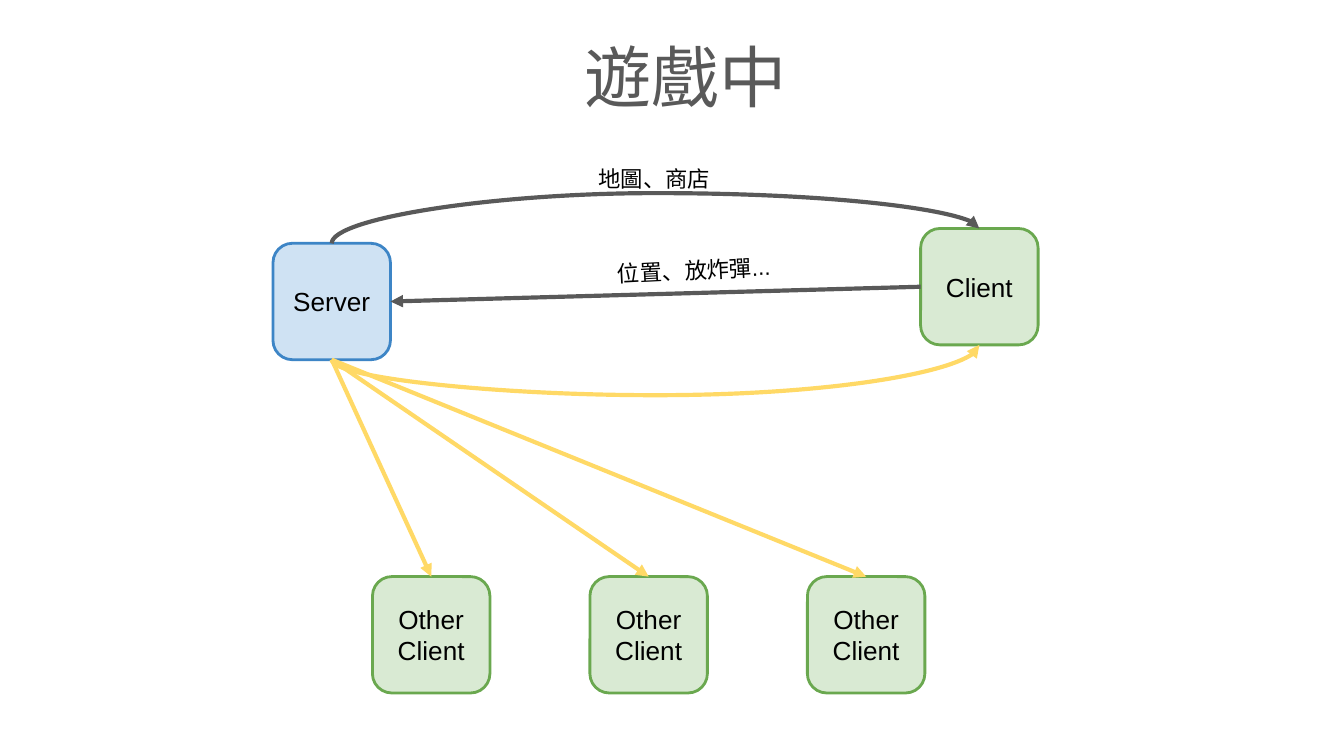
from lxml.etree import SubElement
from pptx import Presentation
from pptx.dml.color import RGBColor
from pptx.enum.shapes import MSO_CONNECTOR, MSO_SHAPE
from pptx.enum.text import MSO_ANCHOR, PP_ALIGN
from pptx.oxml.ns import qn
from pptx.util import Cm, Pt

GREY, YELLOW, BLACK = "595959", "FFD966", "000000"
BLUE_BOX = ("CFE2F3", "3D85C6")
GREEN_BOX = ("D9EAD3", "6AA84F")
TOP, LEFT, BOTTOM, RIGHT = range(4)


def color(value):
    return RGBColor.from_string(value)


class Diagram:
    """Draws boxes, labels and arrows on one slide in a shared style."""

    font = "Arial"
    inset = Cm(0.25)
    box_width, box_height = Cm(2.22), Cm(2.2)

    def __init__(self, slide):
        self.slide = slide

    def set_text(self, shape, lines, size, ink, anchor):
        frame = shape.text_frame
        frame.word_wrap = True
        frame.vertical_anchor = anchor
        frame.margin_left = frame.margin_right = self.inset
        frame.margin_top = frame.margin_bottom = self.inset
        frame.text = lines
        for paragraph in frame.paragraphs:
            paragraph.alignment = PP_ALIGN.CENTER
            paragraph.font.name = self.font
            paragraph.font.size = Pt(size)
            paragraph.font.color.rgb = color(ink)

    def label(self, text, left, top, width, height, size=12, ink=BLACK,
              anchor=MSO_ANCHOR.TOP, rotation=0):
        box = self.slide.shapes.add_textbox(Cm(left), Cm(top), Cm(width), Cm(height))
        box.rotation = rotation
        self.set_text(box, text, size, ink, anchor)

    def box(self, text, left, top, colors):
        box = self.slide.shapes.add_shape(
            MSO_SHAPE.ROUNDED_RECTANGLE, Cm(left), Cm(top), self.box_width, self.box_height)
        fill, line = colors
        box.shadow.inherit = False
        box.fill.solid()
        box.fill.fore_color.rgb = color(fill)
        box.line.color.rgb = color(line)
        box.line.width = Pt(1.5)
        self.set_text(box, text, 14, BLACK, MSO_ANCHOR.MIDDLE)
        return box

    def arrow(self, start, start_side, end, end_side, ink, kind=MSO_CONNECTOR.STRAIGHT):
        arrow = self.slide.shapes.add_connector(kind, 0, 0, 0, 0)
        arrow.begin_connect(start, start_side)
        arrow.end_connect(end, end_side)
        arrow.line.color.rgb = color(ink)
        arrow.line.width = Pt(2.25)
        SubElement(arrow.line._get_or_add_ln(), qn("a:tailEnd"), type="triangle")
        SubElement(arrow._element.spPr, qn("a:effectLst"))
        return arrow

    def arc(self, start, end, side, ink, rise):
        arc = self.arrow(start, side, end, side, ink, MSO_CONNECTOR.CURVE)
        span, climb = arc.width, arc.height
        center_x, center_y = arc.left + span // 2, arc.top + climb // 2
        arc.left, arc.top = center_x - climb // 2, center_y - span // 2
        arc.width, arc.height = climb, span
        properties = arc._element.spPr
        frame = properties.find(qn("a:xfrm"))
        frame.attrib.pop("flipV", None)
        frame.set("rot", str(270 * 60000))
        guides = properties.find(qn("a:prstGeom")).get_or_add_avLst()
        SubElement(guides, qn("a:gd"), name="adj1",
                   fmla=f"val {round(Cm(rise) / climb * 100000)}")


def main():
    presentation = Presentation()
    presentation.slide_width, presentation.slide_height = Cm(25.4), Cm(14.29)
    diagram = Diagram(presentation.slides.add_slide(presentation.slide_layouts[6]))

    diagram.label("遊戲中", 1.12, -3.25, 23.67, 5.69, 36, GREY, MSO_ANCHOR.BOTTOM)
    server = diagram.box("Server", 5.16, 4.6, BLUE_BOX)
    client = diagram.box("Client", 17.4, 4.32, GREEN_BOX)

    diagram.arc(server, client, TOP, GREY, 0.95)
    diagram.arrow(client, LEFT, server, RIGHT, GREY)
    diagram.arc(server, client, BOTTOM, YELLOW, -0.67)
    diagram.label("地圖、商店", 10.59, 2.87, 3.56, 1.04)
    diagram.label("位置、放炸彈...", 11.02, 4.6, 4.19, 1.04, rotation=357.1)

    for column in range(3):
        other_client = diagram.box("Other\nClient", 7.04 + 4.11 * column, 10.9, GREEN_BOX)
        diagram.arrow(server, BOTTOM, other_client, TOP, YELLOW)

    presentation.save("out.pptx")


if __name__ == "__main__":
    main()
